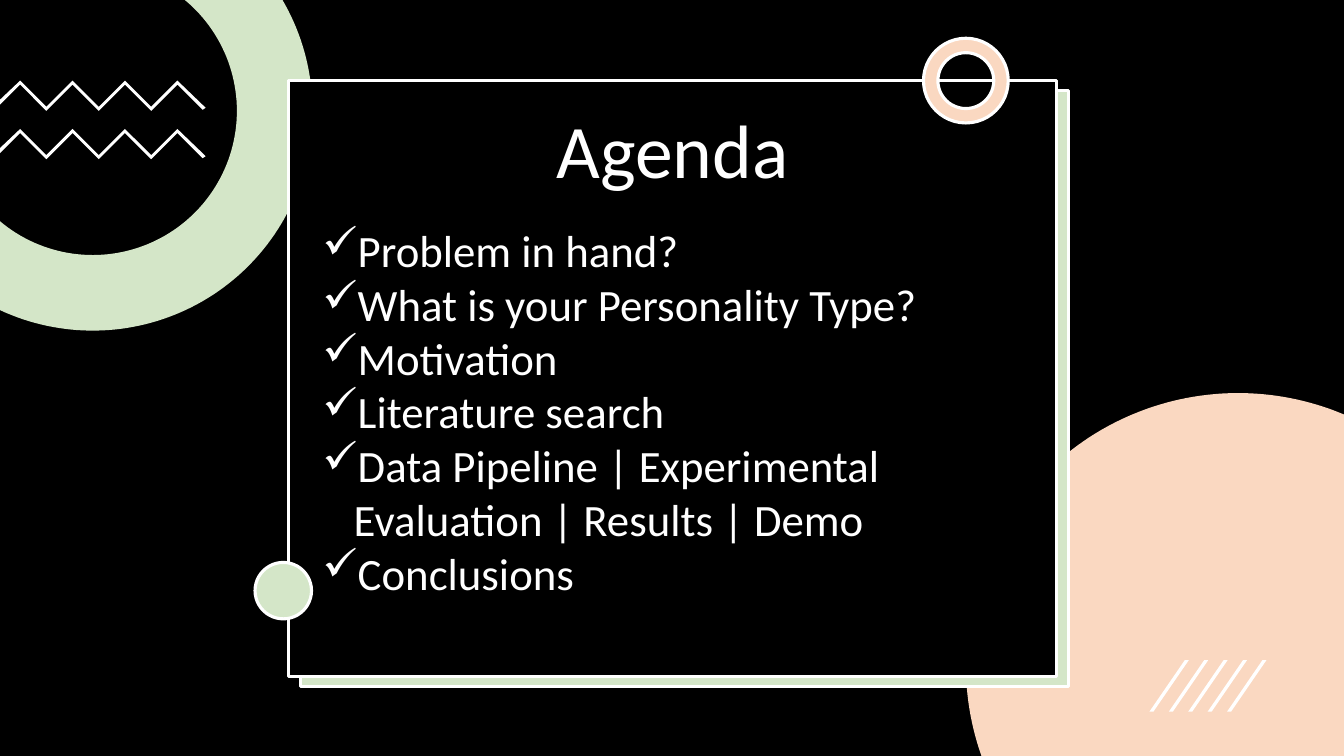
from math import acos, asin, cos, pi, sin

from lxml import etree
from pptx import Presentation
from pptx.dml.color import RGBColor
from pptx.enum.shapes import MSO_SHAPE as Shape
from pptx.enum.text import MSO_ANCHOR as Anchor, PP_ALIGN as Align
from pptx.oxml.ns import qn
from pptx.util import Inches, Pt

WIDTH, HEIGHT = 13.33, 7.5
BLACK = RGBColor(0x00, 0x00, 0x00)
WHITE = RGBColor(0xFF, 0xFF, 0xFF)
GREEN = RGBColor(0xD4, 0xE6, 0xC8)
PEACH = RGBColor(0xFA, 0xD8, 0xC1)
FONT = "Calibri"

AGENDA = [
    "Problem in hand?",
    "What is your Personality Type?",
    "Motivation",
    "Literature search",
    "Data Pipeline | Experimental Evaluation | Results | Demo",
    "Conclusions",
]


def paint(shape, fill, outlined=False):
    shape.shadow.inherit = False
    shape.fill.solid()
    shape.fill.fore_color.rgb = fill
    if outlined:
        shape.line.color.rgb = WHITE
        shape.line.width = Pt(2.25)
    else:
        shape.line.fill.background()
    return shape


def add_preset(slide, kind, box, fill, outlined=False):
    shape = slide.shapes.add_shape(kind, *map(Inches, box))
    return paint(shape, fill, outlined)


def add_outline(slide, points, fill):
    start, *rest = [(Inches(x), Inches(y)) for x, y in points]
    builder = slide.shapes.build_freeform(*start)
    builder.add_line_segments(rest)
    return paint(builder.convert_to_shape(), fill)


def arc(center, radius, start, end, steps=90):
    angles = [start + (end - start) * step / steps for step in range(steps + 1)]
    return [(center[0] + radius * cos(a), center[1] + radius * sin(a)) for a in angles]


def add_corner_ring(slide, center, outer, inner):
    """Ring cut off by the top and left edges of the slide."""
    x, y = center

    def edge_angles(radius):
        return -asin(y / radius), acos(-x / radius)

    top, left = edge_angles(inner)
    points = arc(center, outer, *edge_angles(outer)) + arc(center, inner, left, top)
    add_outline(slide, points, GREEN)


def add_corner_disc(slide, center, radius):
    """Disc cut off by the bottom and right edges of the slide."""
    start = pi - asin((HEIGHT - center[1]) / radius)
    end = 2 * pi - acos((WIDTH - center[0]) / radius)
    add_outline(slide, arc(center, radius, start, end) + [(WIDTH, HEIGHT)], PEACH)


def add_zigzag(slide, top, first=0.2, step=0.26, thickness=0.04):
    turns = [(first + step * i, top + step * (i % 2)) for i in range(7)]
    lower = [(x, y + thickness) for x, y in reversed(turns)]
    points = [(0, top + 0.19), *turns, (2.04, top + 0.27),
              (2.01, top + 0.29), *lower, (0, top + 0.24)]
    add_outline(slide, points, WHITE)


def add_hatching(slide, left, top, height=0.51, count=5, pitch=0.1925):
    for index in range(count):
        x = left + pitch * index
        bottom = top + height
        add_outline(slide, [(x + 0.04, bottom), (x, bottom),
                            (x + 0.35, top), (x + 0.39, top)], WHITE)


def add_text(slide, box, lines, size, anchor=Anchor.TOP):
    shape = slide.shapes.add_textbox(*map(Inches, box))
    frame = shape.text_frame
    frame.word_wrap = True
    frame.vertical_anchor = anchor
    frame.text = "\n".join(lines)
    return frame.paragraphs, size


def set_font(paragraph, size):
    paragraph.font.name = FONT
    paragraph.font.size = Pt(size)
    paragraph.font.color.rgb = WHITE


def add_check_bullet(paragraph, indent=0.31):
    properties = paragraph._p.get_or_add_pPr()
    properties.set("marL", str(Inches(indent)))
    properties.set("indent", str(-Inches(indent)))
    etree.SubElement(properties, qn("a:buChar")).set("char", "✓")


def add_card(slide, box):
    """Agenda card with its offset backing, title and checklist."""
    left, top, width, height = box
    add_preset(slide, Shape.RECTANGLE, (left + 0.12, top + 0.1, width, height), GREEN, True)
    add_preset(slide, Shape.RECTANGLE, box, BLACK, True)

    title_box = (left + 0.3, top + 0.2, width - 0.6, 0.98)
    (title,), size = add_text(slide, title_box, ["Agenda"], 54, Anchor.BOTTOM)
    title.alignment = Align.CENTER
    title.line_spacing = 0.9
    set_font(title, size)

    list_box = (left + 0.24, top + 1.36, width - 0.36, 4.41)
    items, size = add_text(slide, list_box, AGENDA, 32)
    for item in items:
        add_check_bullet(item)
        set_font(item, size)


def build_agenda(slide):
    # Backdrop
    add_preset(slide, Shape.RECTANGLE, (0, 0, WIDTH, HEIGHT), BLACK)
    add_corner_ring(slide, (0.92, 1.1), 2.18, 1.43)
    add_corner_disc(slide, (12.28, 6.6), 2.7)

    # Card
    add_card(slide, (2.86, 0.8, 7.62, 5.91))

    # Ornaments
    for top in (0.8, 1.28):
        add_zigzag(slide, top)
    ring = add_preset(slide, Shape.DONUT, (9.16, 0.38, 0.84, 0.84), PEACH, True)
    ring.adjustments[0] = 0.17
    add_preset(slide, Shape.OVAL, (2.53, 5.58, 0.56, 0.56), GREEN, True)
    add_hatching(slide, 11.4, 6.55)


def main():
    presentation = Presentation()
    presentation.slide_width = Inches(WIDTH)
    presentation.slide_height = Inches(HEIGHT)
    build_agenda(presentation.slides.add_slide(presentation.slide_layouts[6]))
    presentation.save("out.pptx")


if __name__ == "__main__":
    main()
